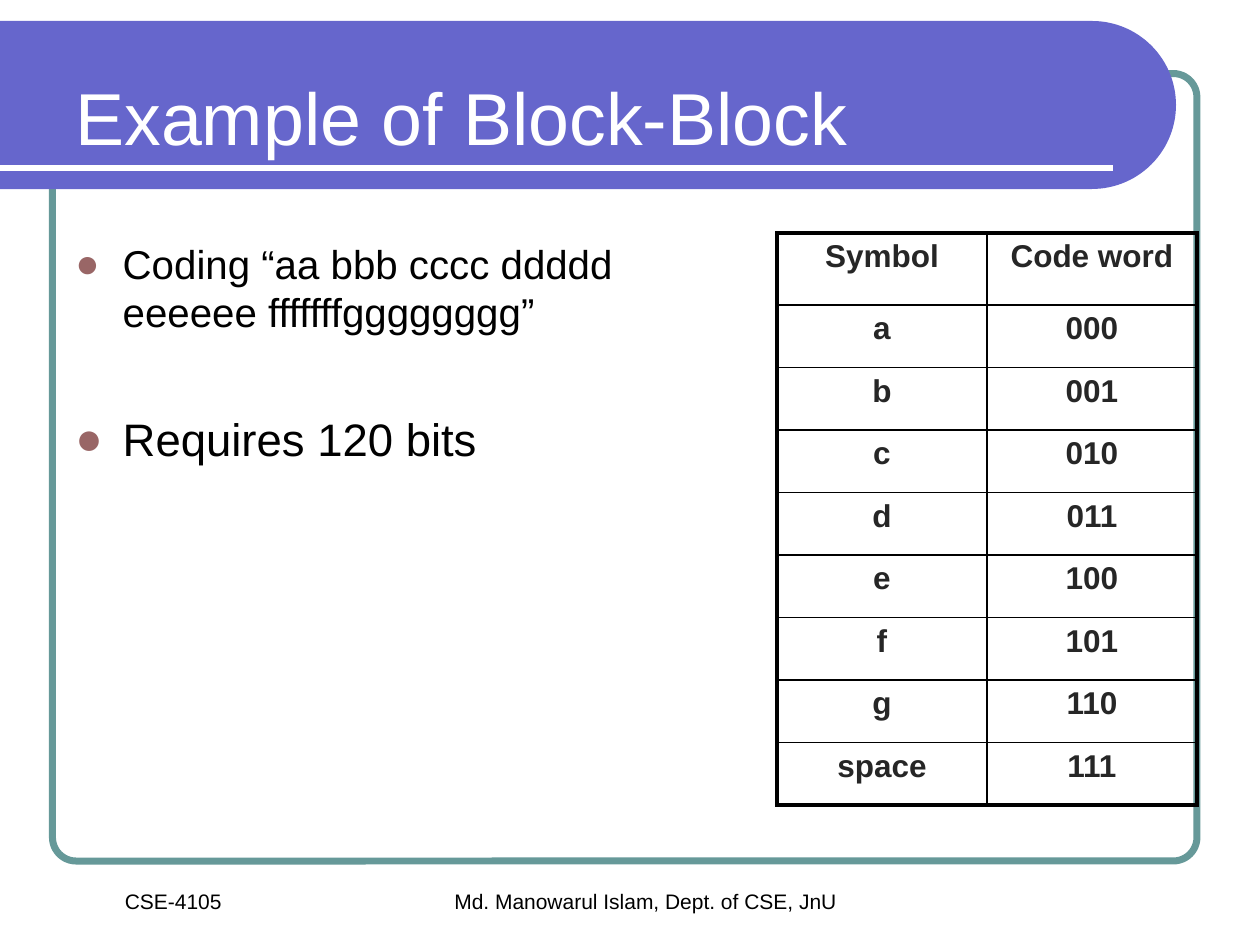
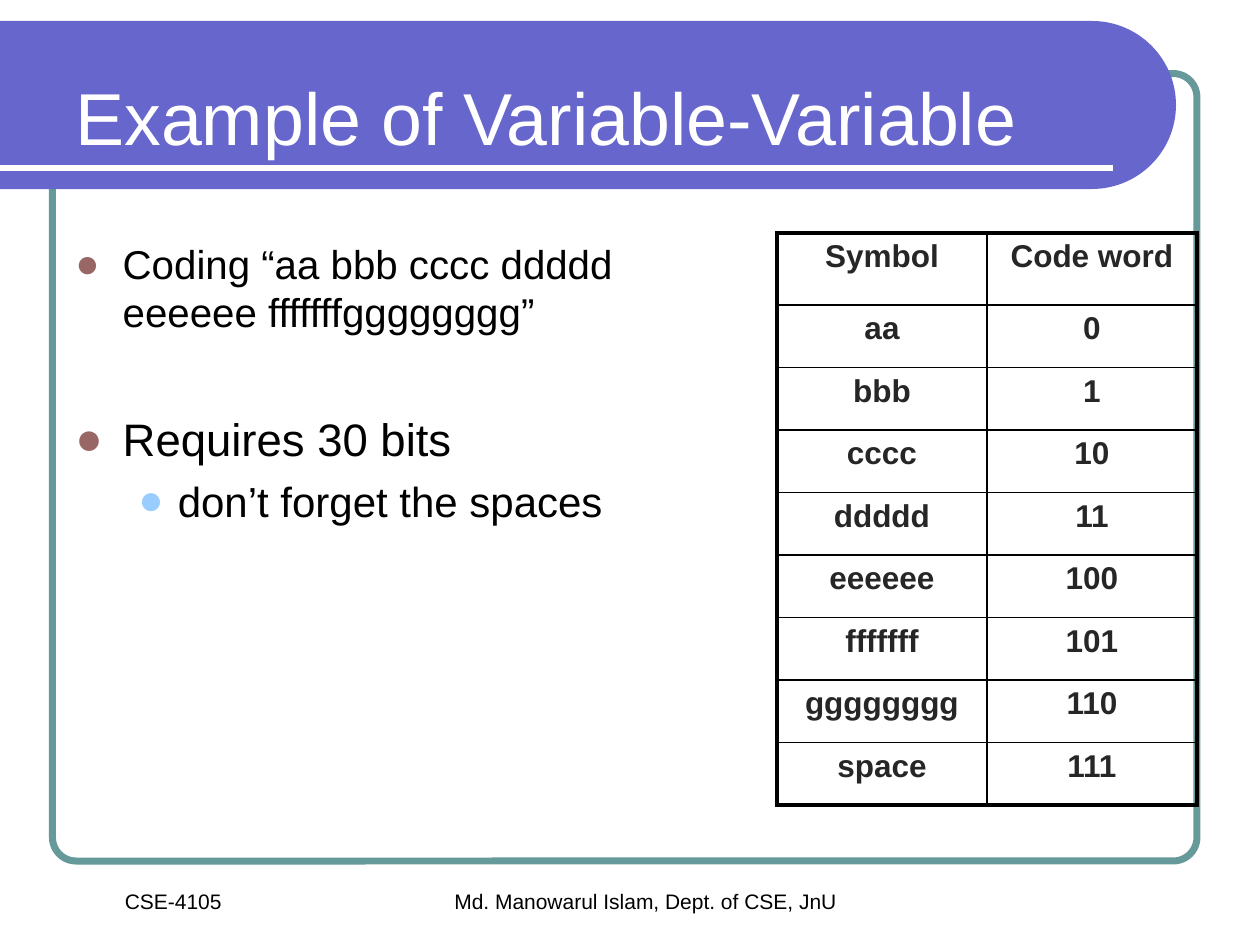
from math import cos, pi, sin
from lxml.etree import SubElement
from pptx import Presentation
from pptx.dml.color import RGBColor
from pptx.enum.shapes import MSO_CONNECTOR, MSO_SHAPE
from pptx.enum.text import MSO_ANCHOR, PP_ALIGN
from pptx.oxml import parse_xml
from pptx.oxml.ns import nsdecls, qn
from pptx.util import Pt

BLACK = RGBColor(0, 0, 0)
WHITE = RGBColor(255, 255, 255)
INK = RGBColor(0x26, 0x26, 0x26)
TEAL = RGBColor(0x66, 0x99, 0x99)
VIOLET = RGBColor(0x66, 0x66, 0xCC)
ROSE = RGBColor(0x99, 0x66, 0x66)
SKY = RGBColor(0x99, 0xCC, 0xFF)

PHRASE = "Coding “aa bbb cccc ddddd eeeeee fffffffgggggggg”"
HEADS = ("Symbol", "Code word")
FOOTERS = [
    ("Md. Manowarul Islam, Dept. of CSE, JnU", (126, 504, 486, 44)),
    ("CSE-4105", (18, 504, 162, 22)),
]
SLIDES = [
    {
        "title": "Example of Block-Block",
        "points": [("first", PHRASE), ("next", "Requires 120 bits")],
        "codes": [("a", "000"), ("b", "001"), ("c", "010"), ("d", "011"),
                  ("e", "100"), ("f", "101"), ("g", "110"), ("space", "111")],
    },
    {
        "title": "Example of Variable-Variable",
        "points": [("first", PHRASE), ("next", "Requires 30 bits"),
                   ("sub", "don’t forget the spaces")],
        "codes": [("aa", "0"), ("bbb", "1"), ("cccc", "10"), ("ddddd", "11"),
                  ("eeeeee", "100"), ("fffffff", "101"), ("gggggggg", "110"),
                  ("space", "111")],
    },
]
LEVELS = {
    "first": {"size": 23, "gap": 0, "left": 27, "hang": 27, "dot": ROSE, "level": 0},
    "next": {"size": 26, "gap": 43, "left": 27, "hang": 27, "dot": ROSE, "level": 0},
    "sub": {"size": 24, "gap": 5.5, "left": 58.5, "hang": 22.5, "dot": SKY, "level": 1},
}
TITLE = {"size": Pt(42), "color": WHITE}
FOOT = {"size": Pt(12), "color": BLACK}
CELL = {"size": Pt(18), "color": INK, "bold": True}
THICK, THIN = 2.25, 1


def style(font, look):
    font.name = "Arial"
    for key, value in look.items():
        if key == "color":
            font.color.rgb = value
        else:
            setattr(font, key, value)


def write(para, text, look, align=PP_ALIGN.LEFT):
    run = para.add_run()
    run.text = text
    style(run.font, look)
    para.alignment = align


def add_box(slide, place, anchor=MSO_ANCHOR.TOP):
    frame = slide.shapes.add_textbox(*map(Pt, place)).text_frame
    frame.word_wrap = True
    frame.vertical_anchor = anchor
    return frame


def add_base(slide):
    frame = slide.shapes.add_shape(MSO_SHAPE.ROUNDED_RECTANGLE,
                                   Pt(30), Pt(42), Pt(654), Pt(450))
    frame.adjustments[0] = 0.05
    frame.adjustments[0] = 0.03
    frame.fill.background()
    frame.line.color.rgb = TEAL
    frame.line.width = Pt(4)
    frame.shadow.inherit = False

    steps = 60
    turns = [pi * step / steps - pi / 2 for step in range(steps + 1)]
    curve = [(Pt(624 + 48 * cos(turn)), Pt(60 + 48 * sin(turn))) for turn in turns]
    path = slide.shapes.build_freeform(0, Pt(12))
    path.add_line_segments(curve + [(0, Pt(108))], close=True)
    band = path.convert_to_shape()
    band.fill.solid()
    band.fill.fore_color.rgb = VIOLET
    band.line.fill.background()
    band.shadow.inherit = False

    rule = slide.shapes.add_connector(MSO_CONNECTOR.STRAIGHT,
                                      0, Pt(96), Pt(636), Pt(96))
    rule.line.color.rgb = WHITE
    rule.line.width = Pt(3)
    SubElement(rule._element.spPr, qn("a:effectLst"))

    for text, place in FOOTERS:
        write(add_box(slide, place).paragraphs[0], text, FOOT, PP_ALIGN.CENTER)


def add_points(slide, points):
    frame = add_box(slide, (36, 133.2, 348, 349.2))
    for index, (kind, text) in enumerate(points):
        look = LEVELS[kind]
        para = frame.add_paragraph() if index else frame.paragraphs[0]
        write(para, text, {"size": Pt(look["size"]), "color": BLACK})
        para.space_before = Pt(look["gap"])
        para.level = look["level"]
        props = para._p.get_or_add_pPr()
        props.set("marL", str(Pt(look["left"])))
        props.set("indent", str(-Pt(look["hang"])))
        tint = SubElement(props, qn("a:buClr"))
        SubElement(tint, qn("a:srgbClr"), val=str(look["dot"]))
        SubElement(props, qn("a:buFont"), typeface="Arial")
        SubElement(props, qn("a:buChar"), char="●")


def add_edges(cell, sides):
    props = cell._tc.get_or_add_tcPr()
    for index, (side, width) in enumerate(sides.items()):
        props.insert(index, parse_xml(
            f'<a:ln{side} {nsdecls("a")} w="{Pt(width)}"><a:solidFill>'
            f'<a:srgbClr val="{BLACK}"/></a:solidFill></a:ln{side}>'))


def add_codes(slide, codes):
    rows = [HEADS] + codes
    tall = [41] + [35.74] * len(codes)
    grid = slide.shapes.add_table(len(rows), len(HEADS), Pt(444), Pt(133.2),
                                  Pt(240), Pt(sum(tall))).table
    grid.first_row = grid.horz_banding = False
    for col in grid.columns:
        col.width = Pt(120)
    for r, row in enumerate(rows):
        grid.rows[r].height = Pt(tall[r])
        for c, text in enumerate(row):
            cell = grid.cell(r, c)
            cell.fill.background()
            write(cell.text_frame.paragraphs[0], text, CELL, PP_ALIGN.CENTER)
            outer = {"L": c == 0, "R": c == len(row) - 1,
                     "T": r == 0, "B": r == len(rows) - 1}
            add_edges(cell, {side: THICK if edge else THIN
                             for side, edge in outer.items()})


def main():
    deck = Presentation()
    deck.slide_width, deck.slide_height = Pt(720), Pt(540)
    for page in SLIDES:
        slide = deck.slides.add_slide(deck.slide_layouts[6])
        add_base(slide)
        head = add_box(slide, (36, 21.6, 648, 90), MSO_ANCHOR.MIDDLE)
        write(head.paragraphs[0], page["title"], TITLE)
        add_points(slide, page["points"])
        add_codes(slide, page["codes"])
    deck.save("out.pptx")


if __name__ == "__main__":
    main()
